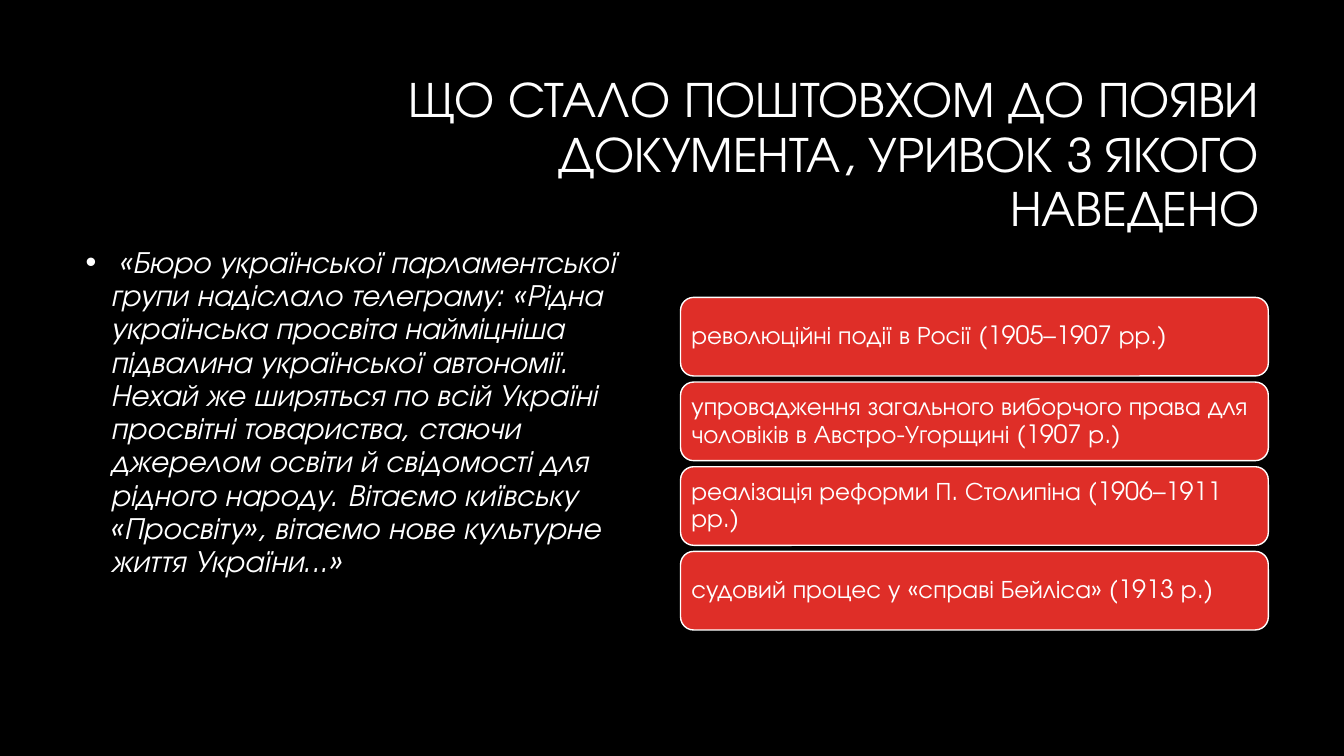
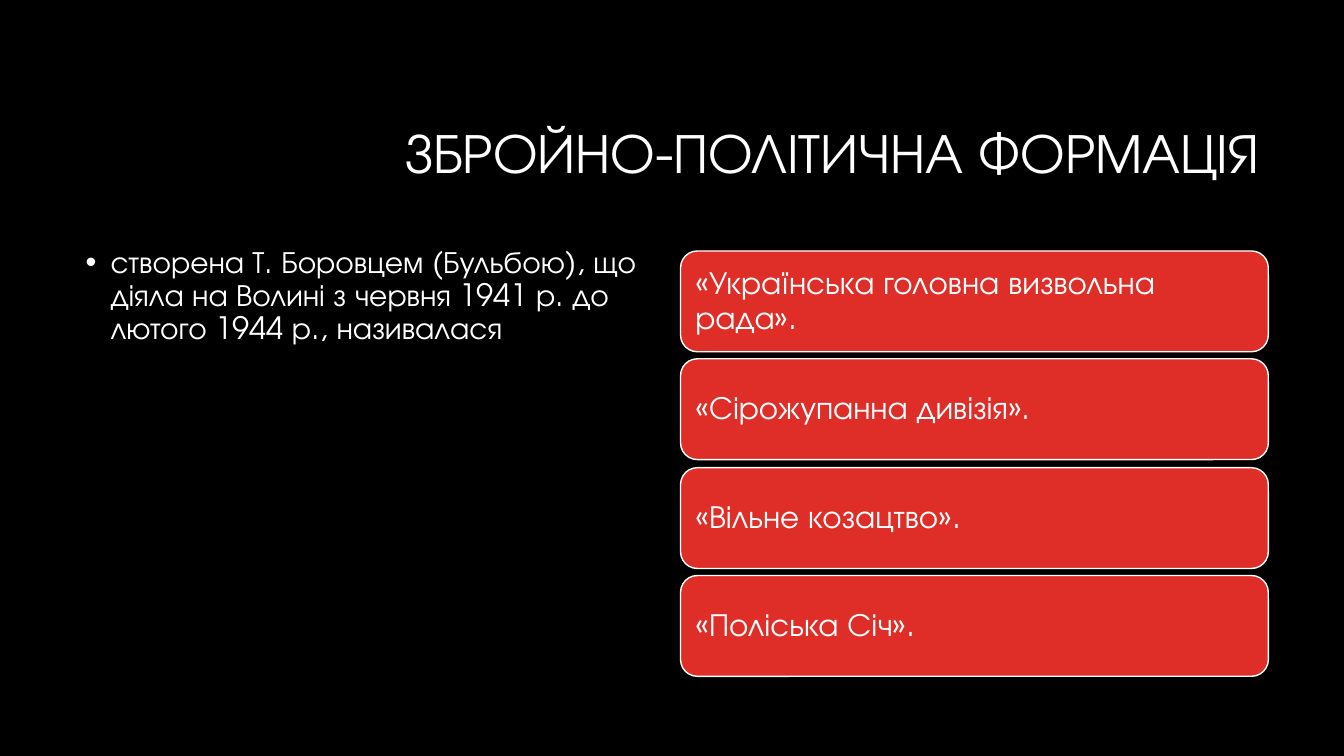
from dataclasses import dataclass

from lxml import etree
from pptx import Presentation
from pptx import util as u
from pptx.dml.color import RGBColor
from pptx.enum import shapes, text
from pptx.oxml import ns

EMU_PER_PX = 9144
FONT = "TeX Gyre Adventor"
COLOURS = {"background": "000000", "text": "FFFFFF", "card": "DF2E28"}
LINE_SPACING = 0.9
BODY_SIZE = 22
BULLET_INDENT = 25


@dataclass(frozen=True)
class Box:
    left: int
    top: int
    width: int
    height: int


@dataclass(frozen=True)
class AnswerStack:
    top: int
    bottom: int
    card_height: int
    inset: int
    size: int
    answers: tuple[str, ...]


@dataclass(frozen=True)
class Question:
    title: str
    title_size: int
    body: str
    italic: bool
    stack: AnswerStack


TITLE_BOX = Box(317, 84, 942, 141)
BODY_BOX = Box(75, 240, 583, 440)
CARD_LEFT, CARD_WIDTH = 675, 583

QUESTIONS = (
    Question(
        "ЩО СТАЛО ПОШТОВХОМ ДО ПОЯВИ ДОКУМЕНТА, УРИВОК З ЯКОГО НАВЕДЕНО",
        36,
        " «Бюро української парламентської групи надіслало телеграму: «Рідна "
        "українська просвіта найміцніша підвалина української автономії. Нехай же "
        "ширяться по всій Україні просвітні товариства, стаючи джерелом освіти й "
        "свідомості для рідного народу. Вітаємо київську «Просвіту», вітаємо нове "
        "культурне життя України...»",
        True,
        AnswerStack(295, 625, 78, 7, 18, (
            "революційні події в Росії (1905–1907 рр.)",
            "упровадження загального виборчого права для чоловіків в Австро-Угорщині (1907 р.)",
            "реалізація реформи П. Столипіна (1906–1911 рр.)",
            "судовий процес у «справі Бейліса» (1913 р.)",
        )),
    ),
    Question(
        "ЗБРОЙНО-ПОЛІТИЧНА ФОРМАЦІЯ",
        40,
        "створена Т. Боровцем (Бульбою), що діяла на Волині з червня 1941 р. "
        "до лютого 1944 р., називалася",
        False,
        AnswerStack(249, 671, 100, 10, 23, (
            "«Українська головна визвольна рада».",
            "«Сірожупанна дивізія».",
            "«Вільне козацтво».",
            "«Поліська Січ».",
        )),
    ),
)


def px(length: int) -> u.Emu:
    return u.Emu(length * EMU_PER_PX)


def place(box: Box) -> tuple[u.Emu, ...]:
    return px(box.left), px(box.top), px(box.width), px(box.height)


def colour(name: str) -> RGBColor:
    return RGBColor.from_string(COLOURS[name])


def add_bullet(paragraph) -> None:
    properties = paragraph._p.get_or_add_pPr()
    properties.set("marL", str(px(BULLET_INDENT)))
    properties.set("indent", str(px(-BULLET_INDENT)))
    font = etree.SubElement(properties, ns.qn("a:buFont"))
    font.set("typeface", "Arial")
    bullet = etree.SubElement(properties, ns.qn("a:buChar"))
    bullet.set("char", "•")


def write(shape, words: str, size: int, align=text.PP_ALIGN.LEFT,
          anchor=text.MSO_ANCHOR.MIDDLE, italic: bool = False,
          bulleted: bool = False) -> None:
    frame = shape.text_frame
    frame.word_wrap = True
    frame.vertical_anchor = anchor
    paragraph = frame.paragraphs[0]
    if bulleted:
        add_bullet(paragraph)
    paragraph.alignment = align
    paragraph.line_spacing = LINE_SPACING
    run = paragraph.add_run()
    run.text = words
    run.font.name = FONT
    run.font.size = u.Pt(size)
    run.font.italic = italic
    run.font.color.rgb = colour("text")


def add_card(slide, box: Box, words: str, size: int, inset: int) -> None:
    shape = slide.shapes.add_shape(shapes.MSO_SHAPE.ROUNDED_RECTANGLE, *place(box))
    shape.shadow.inherit = False
    shape.fill.solid()
    shape.fill.fore_color.rgb = colour("card")
    shape.line.color.rgb = colour("text")
    shape.line.width = u.Pt(1)
    frame = shape.text_frame
    frame.margin_left = frame.margin_right = px(inset)
    frame.margin_top = frame.margin_bottom = px(inset)
    write(shape, words, size)


def add_stack(slide, stack: AnswerStack) -> None:
    pitch = (stack.bottom - stack.top - stack.card_height) / (len(stack.answers) - 1)
    for index, answer in enumerate(stack.answers):
        top = round(stack.top + index * pitch)
        box = Box(CARD_LEFT, top, CARD_WIDTH, stack.card_height)
        add_card(slide, box, answer, stack.size, stack.inset)


def add_question(presentation, question: Question) -> None:
    slide = presentation.slides.add_slide(presentation.slide_layouts[6])
    slide.background.fill.solid()
    slide.background.fill.fore_color.rgb = colour("background")
    title = slide.shapes.add_textbox(*place(TITLE_BOX))
    write(title, question.title, question.title_size, align=text.PP_ALIGN.RIGHT)
    body = slide.shapes.add_textbox(*place(BODY_BOX))
    write(body, question.body, BODY_SIZE, anchor=text.MSO_ANCHOR.TOP,
          italic=question.italic, bulleted=True)
    add_stack(slide, question.stack)


def main() -> None:
    presentation = Presentation()
    presentation.slide_width = px(1333)
    presentation.slide_height = px(750)
    for question in QUESTIONS:
        add_question(presentation, question)
    presentation.save("out.pptx")


if __name__ == "__main__":
    main()
